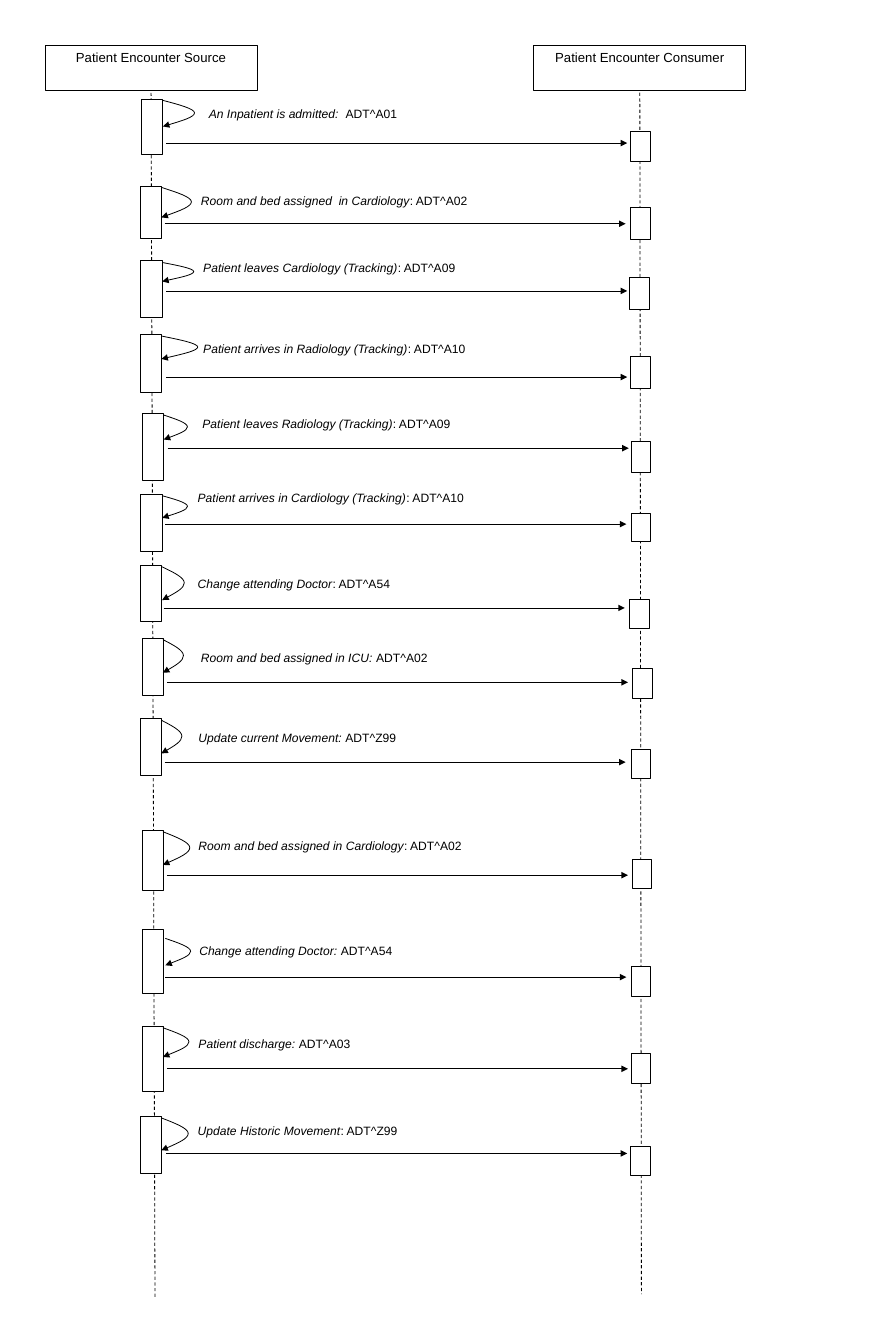
import pptx
import pptx.util
import pptx.dml.color
import pptx.enum.dml
import pptx.enum.shapes
import pptx.enum.text
import pptx.oxml
import pptx.oxml.ns

Inches = pptx.util.Inches
Pt = pptx.util.Pt
qn = pptx.oxml.ns.qn
KIND = pptx.enum.shapes.MSO_SHAPE.RECTANGLE
STRAIGHT = pptx.enum.shapes.MSO_CONNECTOR.STRAIGHT
BLACK = pptx.dml.color.RGBColor(0, 0, 0)
WHITE = pptx.dml.color.RGBColor(255, 255, 255)
FONT = "Arial"
NS = pptx.oxml.ns.nsdecls("a")

deck = pptx.Presentation()
deck.slide_width = Inches(11)
deck.slide_height = Inches(17)
slide = deck.slides.add_slide(deck.slide_layouts[6])
shapes = slide.shapes


def ink(item, arrow=False):
    """Thin black outline, with an arrowhead at the end if asked."""
    item.line.color.rgb = BLACK
    item.line.width = Pt(0.75)
    if arrow:
        head = pptx.oxml.parse_xml(f'<a:tailEnd {NS} type="triangle"/>')
        item.line._get_or_add_ln().append(head)


def box(left, top, width, height):
    """White box with a black outline."""
    rect = shapes.add_shape(KIND, Inches(left), Inches(top), Inches(width), Inches(height))
    rect.shadow.inherit = False
    rect.fill.solid()
    rect.fill.fore_color.rgb = WHITE
    ink(rect)
    return rect


# Shared sizes
BAR = 0.27
SLOT = 0.25
REACH = 5.83
NOTE = (5.1, 0.36)

# Each step: bar (left, top, height), loop (left, top, width, height),
# slot (left, top, height), arrow (left, top), note (left, top), event, code
steps = [
    ((1.79, 1.26, 0.70), (2.06, 1.27, 0.40, 0.33), (7.97, 1.66, 0.38),
     (2.10, 1.81), (2.64, 1.35), "An Inpatient is admitted:  ", "ADT^A01"),
    ((1.77, 2.36, 0.66), (2.04, 2.37, 0.38, 0.38), (7.97, 2.63, 0.40),
     (2.08, 2.83), (2.54, 2.45), "Room and bed assigned  in Cardiology", ": ADT^A02"),
    ((1.78, 3.30, 0.71), (2.05, 3.32, 0.40, 0.24), (7.96, 3.51, 0.40),
     (2.10, 3.68), (2.57, 3.29), "Patient leaves Cardiology (Tracking)", ": ADT^A09"),
    ((1.77, 4.23, 0.73), (2.04, 4.25, 0.46, 0.29), (7.97, 4.51, 0.40),
     (2.10, 4.77), (2.57, 4.32), "Patient arrives in Radiology (Tracking)", ": ADT^A10"),
    ((1.80, 5.23, 0.85), (2.07, 5.25, 0.30, 0.31), (7.98, 5.58, 0.40),
     (2.12, 5.67), (2.56, 5.27), "Patient leaves Radiology (Tracking)", ": ADT^A09"),
    ((1.78, 6.26, 0.71), (2.05, 6.27, 0.32, 0.28), (7.98, 6.49, 0.36),
     (2.09, 6.63), (2.50, 6.20), "Patient arrives in Cardiology (Tracking)", ": ADT^A10"),
    ((1.77, 7.15, 0.71), (2.05, 7.17, 0.28, 0.42), (7.96, 7.58, 0.37),
     (2.07, 7.69), (2.50, 7.29), "Change attending Doctor", ": ADT^A54"),
    ((1.80, 8.07, 0.72), (2.06, 8.09, 0.26, 0.42), (8.00, 8.46, 0.37),
     (2.11, 8.63), (2.54, 8.23), "Room and bed assigned in ICU: ", "ADT^A02"),
    ((1.77, 9.09, 0.72), (2.04, 9.11, 0.26, 0.42), (7.98, 9.48, 0.37),
     (2.08, 9.64), (2.51, 9.24), "Update current Movement: ", "ADT^Z99"),
    ((1.80, 10.51, 0.75), (2.06, 10.52, 0.34, 0.42), (7.99, 10.87, 0.37),
     (2.11, 11.07), (2.51, 10.61), "Room and bed assigned in Cardiology", ": ADT^A02"),
    ((1.80, 11.75, 0.81), (2.09, 11.87, 0.32, 0.34), (7.98, 12.22, 0.38),
     (2.09, 12.36), (2.52, 11.93), "Change attending Doctor: ", "ADT^A54"),
    ((1.80, 12.98, 0.83), (2.06, 13.00, 0.33, 0.37), (7.98, 13.33, 0.38),
     (2.11, 13.52), (2.51, 13.11), "Patient discharge: ", "ADT^A03"),
    ((1.77, 14.12, 0.72), (2.04, 14.14, 0.34, 0.41), (7.97, 14.50, 0.37),
     (2.10, 14.59), (2.50, 14.21), "Update Historic Movement", ": ADT^Z99"),
]

# Lifelines first, then message arrows
lines = [(1.91, 1.03, 1.96, 16.43, False), (8.09, 1.10, 8.11, 16.37, False)]
for bar, loop, slot, (left, top), note, event, code in steps:
    lines.append((left, top, left + REACH, top, True))
for left, top, right, low, arrow in lines:
    line = shapes.add_connector(STRAIGHT, Inches(left), Inches(top), Inches(right), Inches(low))
    if not arrow:
        line.line.dash_style = pptx.enum.dml.MSO_LINE.DASH
    ink(line, arrow)
    line.element.spPr.append(pptx.oxml.parse_xml(f"<a:effectLst {NS}/>"))

# Role headers
for left, role in ((0.57, "Patient Encounter Source"), (6.75, "Patient Encounter Consumer")):
    frame = box(left, 0.57, 2.68, 0.58).text_frame
    frame.word_wrap = True
    frame.vertical_anchor = pptx.enum.text.MSO_ANCHOR.TOP
    para = frame.paragraphs[0]
    para.alignment = pptx.enum.text.PP_ALIGN.CENTER
    run = para.add_run()
    run.text = role
    run.font.name = FONT
    run.font.size = Pt(12)
    run.font.color.rgb = BLACK

for bar, loop, slot, arrow, note, event, code in steps:
    # Activity bar and receiving slot
    for (left, top, height), width in ((bar, BAR), (slot, SLOT)):
        box(left, top, width, height)

    # Loop back to the bar: two curves that meet at the tip
    left, top, width, height = loop
    shares = [(0.5, 0.16), (1, 0.32), (1, 0.48), (1, 0.64), (0.5, 0.82), (0, 1)]
    points = [(Inches(left + width * x), Inches(top + height * y)) for x, y in shares]
    pen = shapes.build_freeform(Inches(left), Inches(top))
    pen.add_line_segments(points, close=False)
    curve = pen.convert_to_shape()
    curve.shadow.inherit = False
    curve.fill.background()
    ink(curve, True)
    legs = list(curve.element.iter(qn("a:lnTo")))
    for first in (0, 3):
        bend = pptx.oxml.parse_xml(f"<a:cubicBezTo {NS}/>")
        legs[first].addprevious(bend)
        for leg in legs[first:first + 3]:
            bend.append(leg[0])
            leg.getparent().remove(leg)

    # Event name and message code
    label = shapes.add_textbox(*[Inches(n) for n in note + NOTE])
    frame = label.text_frame
    frame.word_wrap = True
    frame.margin_left = frame.margin_right = frame.margin_top = frame.margin_bottom = 0
    for words, slant in ((event, True), (code, False)):
        run = frame.paragraphs[0].add_run()
        run.text = words
        run.font.name = FONT
        run.font.size = Pt(11)
        run.font.italic = slant
        run.font.color.rgb = BLACK

deck.save("out.pptx")
